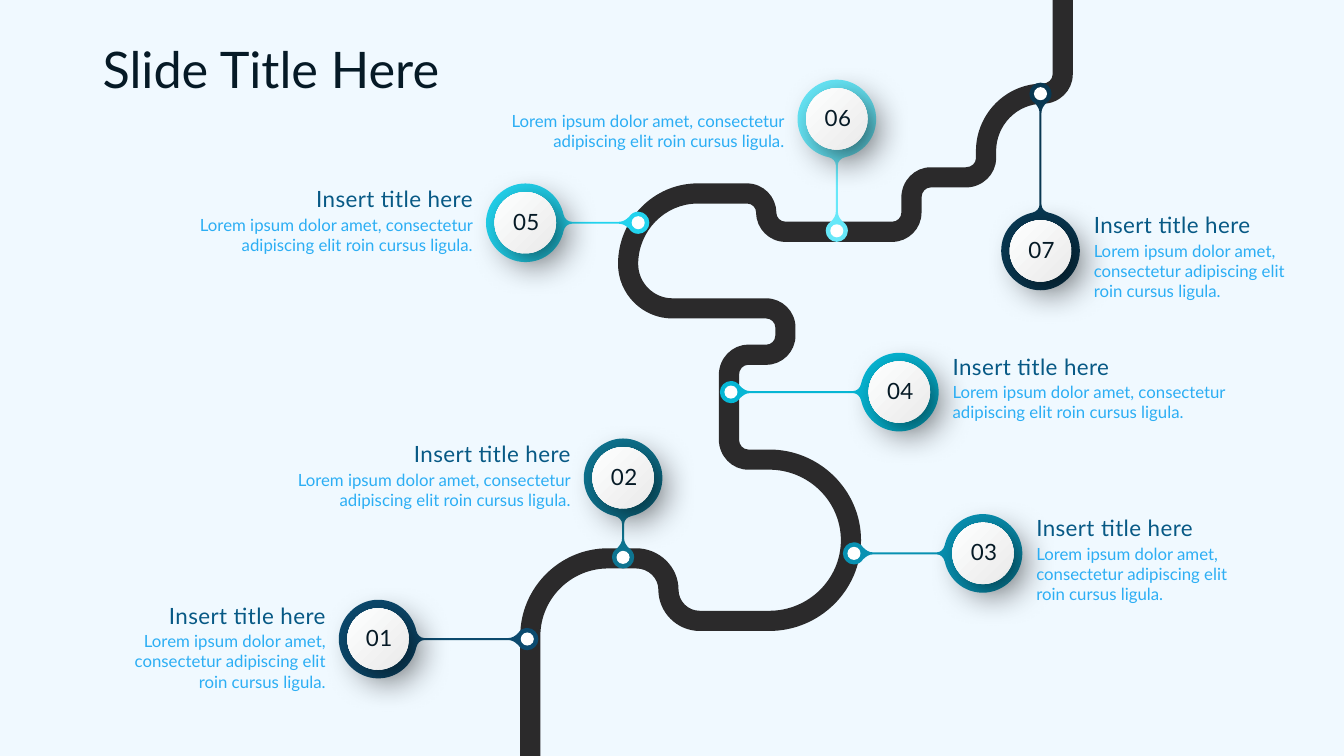
from dataclasses import dataclass

from lxml.etree import SubElement
from pptx import Presentation
from pptx.dml.color import RGBColor
from pptx.enum.shapes import MSO_SHAPE
from pptx.enum.text import MSO_ANCHOR, MSO_AUTO_SIZE, PP_ALIGN
from pptx.oxml.ns import qn
from pptx.util import Inches, Pt


@dataclass(frozen=True)
class Theme:
    font: str = "Lato"
    background: str = "F0F9FF"
    ink: str = "061A26"
    heading: str = "075985"
    body: str = "2CAEF4"
    road: str = "2B2A2B"
    white: str = "FFFFFF"
    disc_dark: str = "EAEAEA"
    disc_light: str = "FEFFFF"
    title_size: int = 36
    heading_size: int = 16
    body_size: int = 12
    tracking: str = "30"


HEADING = "Insert title here"
BODY = "Lorem ipsum dolor amet, consectetur adipiscing elit roin cursus ligula."

# Middle of the road; a diagonal step is a quarter turn
ROAD = [
    (5.26, 7.5), (5.26, 6.31), (6.03, 5.54), (6.31, 5.54), (6.63, 5.85),
    (6.94, 6.16), (7.63, 6.16), (8.44, 5.36), (7.63, 4.56), (7.42, 4.56),
    (7.23, 4.36), (7.23, 3.72), (7.42, 3.52), (7.6, 3.52), (7.79, 3.33),
    (7.79, 3.25), (7.6, 3.06), (6.67, 3.06), (6.23, 2.62), (6.92, 1.92),
    (7.41, 1.92), (7.6, 2.11), (7.79, 2.3), (8.85, 2.3), (9.04, 2.11),
    (9.04, 1.96), (9.23, 1.76), (9.58, 1.76), (9.78, 1.57), (9.78, 1.5),
    (10.34, 0.93), (10.54, 0.74), (10.54, 0),
]
ROAD_WIDTH = 0.2
ROUNDNESS = 0.55

# Number, disc centre, stop on the road, colour, text side, text width, heading
MILESTONES = [
    ("01", (3.75, 6.34), (5.23, 6.34), "0C4A6E", "left", 2.27, HEADING),
    ("02", (6.18, 4.74), (6.18, 5.53), "0E7490", "left", 3.06, HEADING),
    ("03", (9.75, 5.49), (8.47, 5.49), "0891B2", "right", 2.4, HEADING),
    ("04", (8.92, 3.89), (7.25, 3.89), "06B6D4", "right", 3.06, HEADING),
    ("05", (5.21, 2.21), (6.33, 2.21), "22D3EE", "left", 3.06, HEADING),
    ("06", (8.3, 1.18), (8.3, 2.29), "67E8F9", "left", 3.06, None),
    ("07", (10.32, 2.49), (10.32, 0.93), "093852", "right", 2.4, HEADING),
]


def toward(point, corner):
    return tuple(p + ROUNDNESS * (c - p) for p, c in zip(point, corner))


def road_edge(side):
    """Bezier points of one edge: side is -1 for left, 1 for right."""
    shift = side * ROAD_WIDTH / 2
    edge = [(ROAD[0][0] + shift, ROAD[0][1])]
    vertical = True
    for (x0, y0), (x1, y1) in zip(ROAD, ROAD[1:]):
        dx, dy = x1 - x0, y1 - y0
        if not dx or not dy:
            continue
        clockwise = (dx * dy < 0) == vertical
        outward = -shift if clockwise else shift
        step_x = outward if dx > 0 else -outward
        step_y = outward if dy > 0 else -outward
        if vertical:
            start, end = (x0 - step_x, y0), (x1, y1 + step_y)
            corner = (start[0], end[1])
        else:
            start, end = (x0, y0 - step_y), (x1 + step_x, y1)
            corner = (end[0], start[1])
        edge += [edge[-1], start, start, toward(start, corner), toward(end, corner), end]
        vertical = not vertical
    finish = (ROAD[-1][0] + shift, ROAD[-1][1])
    return edge + [edge[-1], finish, finish]


def road_outline():
    left, right = road_edge(-1), road_edge(1)
    return left + [left[-1], right[-1]] + right[::-1]


def pin_outline(centre, stop):
    (x, y), (stop_x, stop_y) = centre, stop
    length = abs(stop_x - x) + abs(stop_y - y)
    ux, uy = (stop_x - x) / length, (stop_y - y) / length
    # Half of the pin along its axis: ring, neck, ring round the stop
    half = [
        (-0.39, 0), (-0.39, 0.21), (-0.21, 0.39), (0, 0.39),
        (0.19, 0.39), (0.34, 0.26), (0.38, 0.08),
        (0.39, 0.04), (0.42, 0.01), (0.46, 0.01),
        (0.46, 0.01), (length - 0.19, 0.01), (length - 0.19, 0.01),
        (length - 0.15, 0.01), (length - 0.12, 0.03), (length - 0.09, 0.06),
        (length - 0.07, 0.09), (length - 0.04, 0.11), (length, 0.11),
        (length + 0.06, 0.11), (length + 0.11, 0.06), (length + 0.11, 0),
    ]
    whole = half + [(a, -b) for a, b in half[-2::-1]]
    return [(x + a * ux - b * uy, y + a * uy + b * ux) for a, b in whole]


class RoadmapSlide:
    def __init__(self, deck, theme):
        self.theme = theme
        self.page = deck.slides.add_slide(deck.slide_layouts[6])
        self.page.background.fill.solid()
        self.page.background.fill.fore_color.rgb = RGBColor.from_string(theme.background)

    def plain(self, shape, color):
        shape.shadow.inherit = False
        shape.line.fill.background()
        shape.fill.solid()
        shape.fill.fore_color.rgb = RGBColor.from_string(color)
        return shape

    def outline(self, points, color):
        points = [(Inches(x), Inches(y)) for x, y in points]
        builder = self.page.shapes.build_freeform(*points[0])
        builder.add_line_segments(points[1:], close=True)
        shape = builder.convert_to_shape()
        # Join each three points into one curve
        steps = list(shape._element.iter(qn("a:lnTo")))
        for first, second, third in zip(steps[::3], steps[1::3], steps[2::3]):
            first.tag = qn("a:cubicBezTo")
            for step in (second, third):
                first.append(step[0])
                step.getparent().remove(step)
        return self.plain(shape, color)

    def circle(self, centre, diameter, color):
        left, top = [Inches(c - diameter / 2) for c in centre]
        size = Inches(diameter)
        return self.plain(
            self.page.shapes.add_shape(MSO_SHAPE.OVAL, left, top, size, size), color)

    def disc(self, centre):
        disc = self.circle(centre, 0.61, self.theme.white)
        disc.fill.gradient()
        disc.fill.gradient_angle = 135
        for stop, color in zip(disc.fill.gradient_stops,
                               (self.theme.disc_dark, self.theme.disc_light)):
            stop.color.rgb = RGBColor.from_string(color)
        # Soft shadow to the lower right
        effects = disc._element.spPr.find(qn("a:effectLst"))
        shadow = SubElement(effects, qn("a:outerShdw"), blurRad=str(Pt(25)),
                            dist=str(Pt(10)), dir="2700000", algn="tl", rotWithShape="0")
        color = SubElement(shadow, qn("a:srgbClr"), val="000000")
        SubElement(color, qn("a:alpha"), val="60000")

    def text(self, words, frame, size, color, align=PP_ALIGN.LEFT,
             anchor=MSO_ANCHOR.TOP, grow=True, tracked=False, outlined=False):
        box = self.page.shapes.add_textbox(*[Inches(v) for v in frame])
        text_frame = box.text_frame
        text_frame.word_wrap = True
        text_frame.vertical_anchor = anchor
        text_frame.auto_size = MSO_AUTO_SIZE.SHAPE_TO_FIT_TEXT if grow else MSO_AUTO_SIZE.NONE
        text_frame.text = words
        para = text_frame.paragraphs[0]
        para.alignment = align
        span = para.runs[0]
        span.font.name = self.theme.font
        span.font.size = Pt(size)
        span.font.color.rgb = RGBColor.from_string(color)
        properties = span._r.get_or_add_rPr()
        if tracked:
            properties.set("spc", self.theme.tracking)
        if outlined:
            line = SubElement(properties, qn("a:ln"), w=str(Pt(0.75)))
            SubElement(SubElement(line, qn("a:solidFill")), qn("a:srgbClr"), val=color)
            properties.insert(0, line)
        return para

    def milestone(self, number, centre, stop, color, side, width, heading):
        theme = self.theme
        x, y = centre
        # Pin, stop and numbered disc
        self.outline(pin_outline(centre, stop), color)
        self.circle(stop, 0.13, theme.white)
        self.disc(centre)
        self.text(number, (x - 0.36, y - 0.2, 0.74, 0.37), theme.heading_size, theme.ink,
                  PP_ALIGN.CENTER, MSO_ANCHOR.MIDDLE, tracked=True, outlined=True)
        # Heading and description beside the disc
        if side == "left":
            left, top, align = x - 0.42 - width, y - 0.42, PP_ALIGN.RIGHT
        else:
            left, top, align = x + 0.43, y - 0.44, PP_ALIGN.LEFT
        if heading:
            self.text(heading, (left, top, width, 0.37), theme.heading_size,
                      theme.heading, align, tracked=True)
        height = 0.71 if width < 3 else 0.5
        self.text(BODY, (left, top + 0.29, width, height), theme.body_size, theme.body, align)


def main():
    deck = Presentation()
    deck.slide_width, deck.slide_height = Inches(13.33), Inches(7.5)
    theme = Theme()
    slide = RoadmapSlide(deck, theme)

    # Title
    title = slide.text("Slide Title Here", (0.92, 0.4, 11.5, 0.97),
                       theme.title_size, theme.ink, grow=False)
    title.line_spacing = 0.9

    # Road and milestones
    slide.outline(road_outline(), theme.road)
    for milestone in MILESTONES:
        slide.milestone(*milestone)

    deck.save("out.pptx")


if __name__ == "__main__":
    main()
